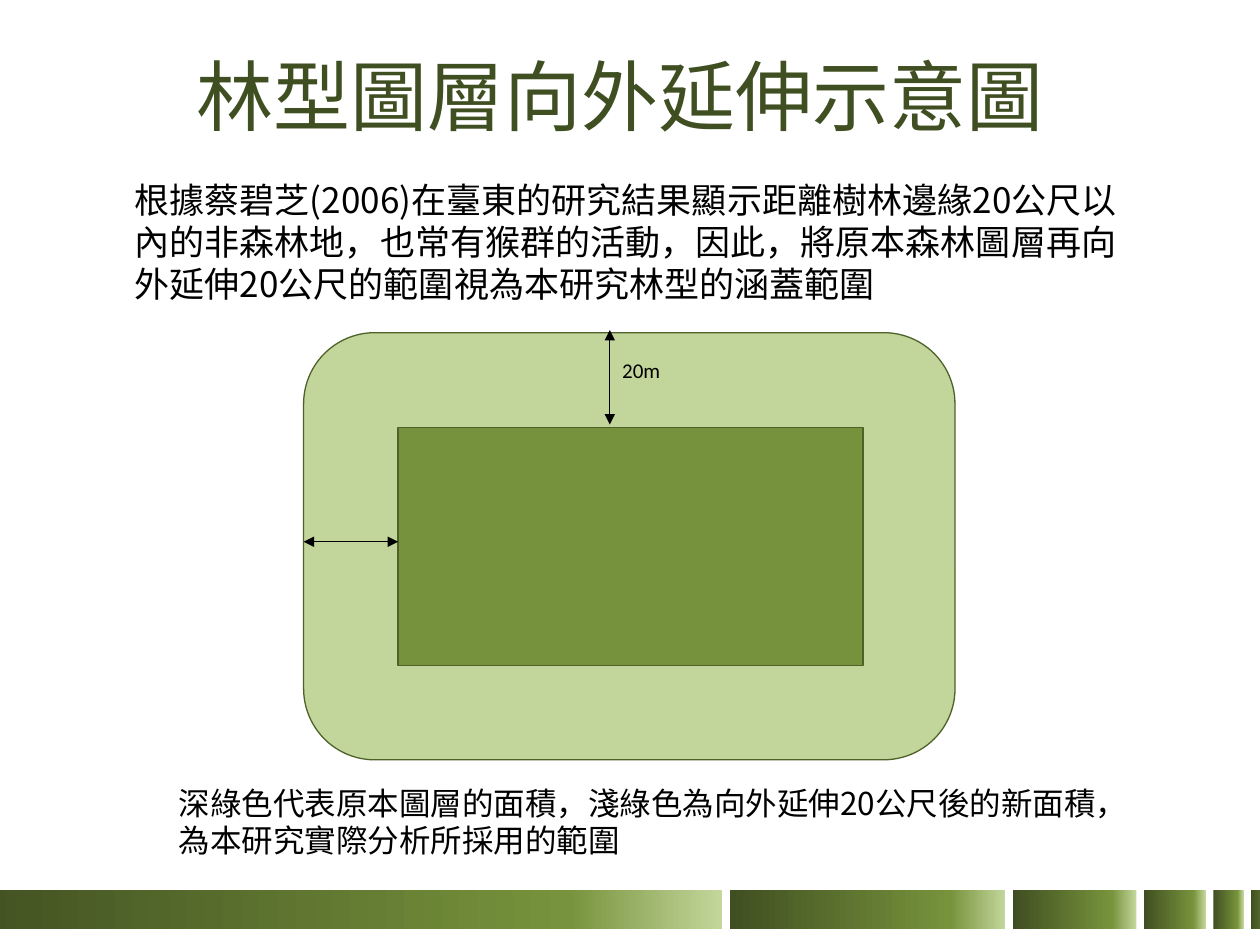
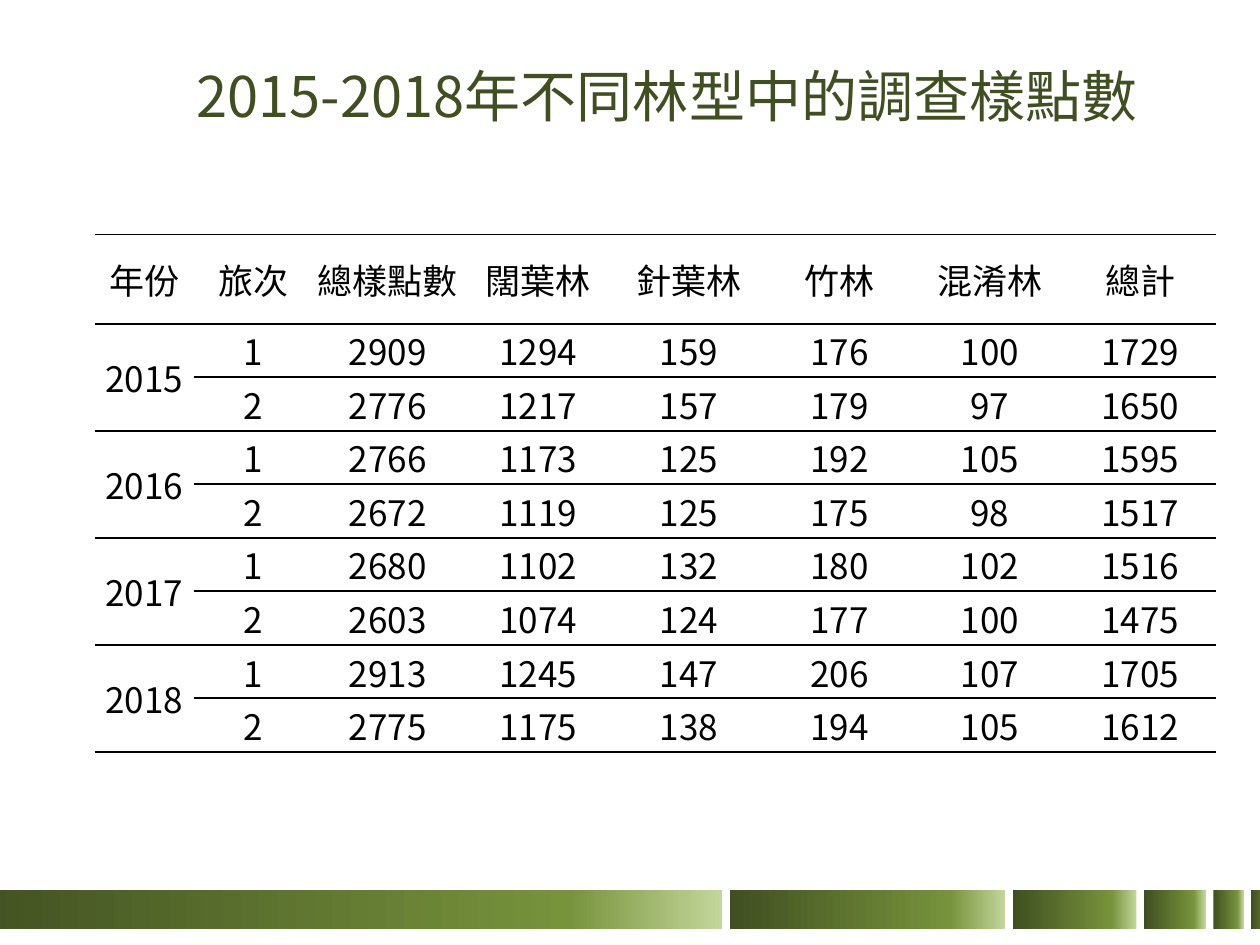
from copy import deepcopy
from pptx import Presentation, util as u
from pptx.dml.color import RGBColor
from pptx.enum import shapes as sh, text as tx
from pptx.oxml import parse_xml
from pptx.oxml.ns import nsdecls, qn

HUE = {"dark": "404F21", "mid": "77933C", "pale": "C3D69B", "edge": "4E6128",
       "core": "76923C", "zone": "C2D69B", "ink": "000000"}
CJK = "Noto Sans CJK SC"
WIDE, HIGH = 10, 7.5
FRAME = {"word_wrap": True, "auto_size": tx.MSO_AUTO_SIZE.NONE}
HEAD = ["年份", "旅次", "總樣點數", "闊葉林", "針葉林", "竹林", "混淆林", "總計"]
COUNTS = {
    2015: [(2909, 1294, 159, 176, 100, 1729), (2776, 1217, 157, 179, 97, 1650)],
    2016: [(2766, 1173, 125, 192, 105, 1595), (2672, 1119, 125, 175, 98, 1517)],
    2017: [(2680, 1102, 132, 180, 102, 1516), (2603, 1074, 124, 177, 100, 1475)],
    2018: [(2913, 1245, 147, 206, 107, 1705), (2775, 1175, 138, 194, 105, 1612)],
}


def rgb(name):
    return RGBColor.from_string(HUE[name])


def inch(*nums):
    return [u.Inches(n) for n in nums]


def put(obj, form):
    for key, val in form.items():
        setattr(obj, key, val)


def write(frame, words, size, hue="ink", face=CJK, **form):
    """Fill a text frame with one paragraph."""
    para = frame.paragraphs[0]
    put(para, form)
    run = para.add_run()
    run.text = str(words)
    put(run.font, {"size": u.Pt(size), "name": face})
    run.font.color.rgb = rgb(hue)
    run.font._element.find(qn("a:latin")).addnext(
        parse_xml(f'<a:ea {nsdecls("a")} typeface="{face}"/>'))


def label(host, box, words, size, **form):
    frame = host.add_textbox(*inch(*box)).text_frame
    put(frame, FRAME)
    write(frame, words, size, **form)


def block(host, kind, box, fill, line="edge"):
    item = host.add_shape(kind, *inch(*box))
    item.shadow.inherit = False
    item.fill.solid()
    item.fill.fore_color.rgb = rgb(fill)
    item.line.color.rgb = rgb(line)
    item.line.width = u.Pt(0.75)


def arrow(host, *ends):
    """Draw a line with a head at both ends."""
    item = host.add_connector(sh.MSO_CONNECTOR.STRAIGHT, *inch(*ends))
    item.line.color.rgb = rgb("ink")
    item.line.width = u.Pt(0.75)
    for tag in ("headEnd", "tailEnd"):
        item.line._get_or_add_ln().append(
            parse_xml(f'<a:{tag} {nsdecls("a")} type="triangle"/>'))
    item._element.spPr.append(parse_xml(f'<a:effectLst {nsdecls("a")}/>'))


def band(slide, left, top, high):
    """Footer row of shrinking gradient bars."""
    for wide in (6.12, 2.19, 0.98, 0.49, 0.24, 0.24):
        bar = slide.shapes.add_shape(sh.MSO_SHAPE.RECTANGLE, *inch(left, top, wide, high))
        bar.shadow.inherit = False
        bar.line.fill.background()
        bar.fill.gradient()
        bar.fill.gradient_angle = 0
        stops = bar._element.spPr.find(".//" + qn("a:gsLst"))
        stops.append(deepcopy(stops[-1]))
        for stop, hue, pos in zip(bar.fill.gradient_stops, ("dark", "mid", "pale"), (0, 0.8, 1)):
            stop.color.rgb = rgb(hue)
            stop.position = pos
        left += wide + 0.06


def start(deck, words, size):
    """New slide with the shared footer and title."""
    slide = deck.slides.add_slide(deck.slide_layouts[5])
    band(slide, -0.39, 7.06, 0.31)
    title = slide.shapes.title
    put(title, dict(zip(("left", "top", "width", "height"), inch(1.46, 0.13, 8.41, 1.25))))
    put(title.text_frame, FRAME | {"vertical_anchor": tx.MSO_ANCHOR.MIDDLE})
    write(title.text_frame, words, size, "dark", alignment=tx.PP_ALIGN.LEFT)
    return slide


def buffer(slide, left, top, wide, high):
    """Core forest area inside its 20 m margin."""
    host = slide.shapes.add_group_shape().shapes
    gap = 0.75
    block(host, sh.MSO_SHAPE.ROUNDED_RECTANGLE, (left, top, wide, high), "zone")
    block(host, sh.MSO_SHAPE.RECTANGLE,
          (left + gap, top + gap, wide - 2 * gap + 0.02, high - 2 * gap), "core")
    row, col = top + 1.66, left + 2.43
    arrow(host, left + gap, row, left, row)
    arrow(host, col, top - 0.02, col, top + gap - 0.02)
    label(host, (col, top + 0.15, 0.8, 0.44), "20m", 12, face="Calibri")


def edges(cell, **sides):
    """Set borders by side in points; sides not named stay bare."""
    props = cell._tc.get_or_add_tcPr()
    for side in "LRTB":
        size = sides.get(side, 0)
        paint = (f'<a:solidFill><a:srgbClr val="{HUE["ink"]}"/></a:solidFill>'
                 if size else "<a:noFill/>")
        props.append(parse_xml(
            f'<a:ln{side} {nsdecls("a")} w="{u.Pt(size)}">{paint}</a:ln{side}>'))


def grid(slide, left, top, wide):
    """Table of sample points by year and trip."""
    rows = [HEAD] + [(year if trip == 1 else "", trip, *nums)
                     for year, trips in COUNTS.items()
                     for trip, nums in enumerate(trips, 1)]
    cols = [0.79, 0.94]
    cols += [(wide - sum(cols)) / 6] * 6
    highs = [0.71] + [0.425] * (len(rows) - 1)
    frame = slide.shapes.add_table(len(rows), len(cols), *inch(left, top, wide, sum(highs)))
    table = frame.table
    put(table, {"first_row": False, "horz_banding": False})
    table._tbl.tblPr.find(qn("a:tableStyleId")).text = "{2D5ABB26-0587-4C30-8999-92F81FD0307C}"
    for col, size in zip(table.columns, cols):
        col.width = u.Inches(size)
    for r, (row, size) in enumerate(zip(rows, highs)):
        table.rows[r].height = u.Inches(size)
        for c, words in enumerate(row):
            cell = table.cell(r, c)
            if r == 0:
                edges(cell, T=1, B=1)
            elif r % 2:
                edges(cell, T=1, B=1.25 if c else 1)
            else:
                edges(cell, T=1.25 if c else 0, B=1)
            cell.fill.background()
            side = u.Inches(0.02)
            put(cell, {"margin_left": side, "margin_right": side, "margin_top": 0,
                       "margin_bottom": 0, "vertical_anchor": tx.MSO_ANCHOR.MIDDLE})
            if words != "":
                write(cell.text_frame, words, 20, alignment=tx.PP_ALIGN.CENTER)
    for r in range(1, len(rows), 2):
        table.cell(r, 0).merge(table.cell(r + 1, 0))


def sketch(deck):
    slide = start(deck, "林型圖層向外延伸示意圖", 44)
    buffer(slide, 2.41, 2.64, 5.17, 3.39)
    notes = [
        ((1.32, 6.17, 7.82, 0.71), 18,
         "深綠色代表原本圖層的面積，淺綠色為向外延伸20公尺後的新面積，為本研究實際分析所採用的範圍"),
        ((0.97, 1.37, 8.08, 1.11), 20,
         "根據蔡碧芝(2006)在臺東的研究結果顯示距離樹林邊緣20公尺以內的非森林地，"
         "也常有猴群的活動，因此，將原本森林圖層再向外延伸20公尺的範圍視為本研究林型的涵蓋範圍"),
    ]
    for box, size, words in notes:
        label(slide.shapes, box, words, size, line_spacing=u.Pt(1.2 * size))


def survey(deck):
    slide = start(deck, "2015-2018年不同林型中的調查樣點數", 32)
    grid(slide, 0.75, 1.86, 8.9)


def main():
    deck = Presentation()
    put(deck, {"slide_width": u.Inches(WIDE), "slide_height": u.Inches(HIGH)})
    sketch(deck)
    survey(deck)
    deck.save("out.pptx")


if __name__ == "__main__":
    main()
